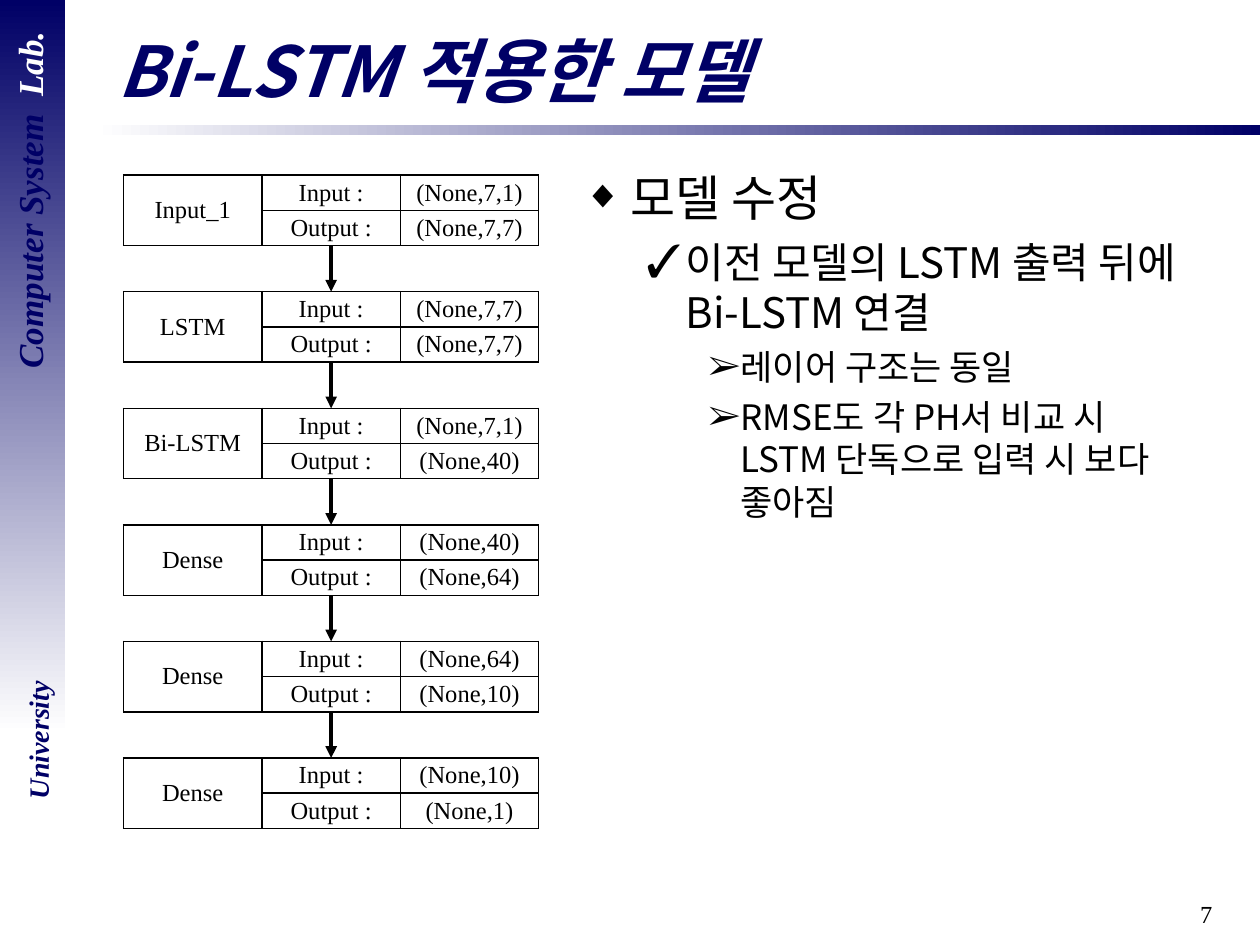
from dataclasses import dataclass

from lxml.etree import SubElement
from pptx import Presentation
from pptx.dml.color import RGBColor
from pptx.enum.shapes import MSO_CONNECTOR, MSO_SHAPE
from pptx.enum.text import MSO_ANCHOR, PP_ALIGN
from pptx.oxml.ns import qn
from pptx.util import Cm, Pt


@dataclass(frozen=True)
class Theme:
    navy: RGBColor = RGBColor(0x00, 0x00, 0x66)
    white: RGBColor = RGBColor(0xFF, 0xFF, 0xFF)
    black: RGBColor = RGBColor(0x00, 0x00, 0x00)
    serif: str = "Times New Roman"
    sans: str = "Noto Sans CJK KR"
    title: int = 40
    lab: int = 20
    university: int = 16
    small: int = 14
    body: tuple = (28, 24, 20)


THEME = Theme()

LAYERS = [
    ("Input_1", "(None,7,1)", "(None,7,7)"),
    ("LSTM", "(None,7,7)", "(None,7,7)"),
    ("Bi-LSTM", "(None,7,1)", "(None,40)"),
    ("Dense", "(None,40)", "(None,64)"),
    ("Dense", "(None,64)", "(None,10)"),
    ("Dense", "(None,10)", "(None,1)"),
]
LAYER_LEFT, LAYER_TOP, LAYER_PITCH = 2.49, 3.53, 2.35
COL_W, ROW_H = 2.79, 0.71

# Per level: left margin, hanging indent, bullet, bullet size in percent
LEVELS = [
    (0.95, 0.95, "◆", 80),
    (2.06, 0.79, "✓", 110),
    (3.16, 0.64, "➢", 100),
]
POINTS = [
    (0, "모델 수정"),
    (1, "이전 모델의 LSTM 출력 뒤에 Bi-LSTM 연결"),
    (2, "레이어 구조는 동일"),
    (2, "RMSE도 각 PH서 비교 시 LSTM 단독으로 입력 시 보다 좋아짐"),
]


def add_run(p, text, size, font=THEME.serif, color=THEME.black, strong=False):
    """Add a run; strong means bold italic."""
    r = p.add_run()
    r.text = text
    r.font.size = Pt(size)
    r.font.name = font
    r.font.color.rgb = color
    if strong:
        r.font.bold = r.font.italic = True
    SubElement(r.font._element, qn("a:ea"), typeface=font)


def add_textbox(s, left, top, width, height, align=PP_ALIGN.LEFT, rotation=0):
    """Add a wrapping text box and return its text frame."""
    sp = s.shapes.add_textbox(Cm(left), Cm(top), Cm(width), Cm(height))
    sp.rotation = rotation
    tf = sp.text_frame
    tf.word_wrap = True
    tf.paragraphs[0].alignment = align
    return tf


def add_gradient_bar(s, left, top, width, height, colors, angle):
    sp = s.shapes.add_shape(MSO_SHAPE.RECTANGLE, Cm(left), Cm(top), Cm(width), Cm(height))
    sp.shadow.inherit = False
    sp.line.fill.background()
    sp.fill.gradient()
    sp.fill.gradient_angle = angle
    for stop, color in zip(sp.fill.gradient_stops, colors):
        stop.color.rgb = color


def add_frame(s):
    """Add the sidebar, the rule below the title and the page number."""
    add_gradient_bar(s, 1.9, 2.52, 23.5, 0.2, (THEME.white, THEME.navy), 0)
    tf = add_textbox(s, 19.4, 17.99, 5.29, 1.06, PP_ALIGN.RIGHT)
    add_run(tf.paragraphs[0], "7", THEME.small)

    add_gradient_bar(s, 0, 0, 1.31, 14.8, (THEME.navy, THEME.white), 270)
    p = add_textbox(s, -3.31, 3.48, 7.8, 1.1, PP_ALIGN.CENTER, 270).paragraphs[0]
    add_run(p, "Computer System  ", THEME.lab, color=THEME.navy, strong=True)
    add_run(p, "Lab.", THEME.lab, color=THEME.white, strong=True)
    p = add_textbox(s, -1.04, 14.45, 3.61, 0.94, PP_ALIGN.CENTER, 270).paragraphs[0]
    add_run(p, "University", THEME.university, color=THEME.navy, strong=True)


def add_title(s, text):
    tf = add_textbox(s, 2.11, 0.43, 22.6, 1.96)
    tf.vertical_anchor = MSO_ANCHOR.MIDDLE
    add_run(tf.paragraphs[0], text, THEME.title, THEME.sans, THEME.navy, strong=True)


def style_cell(cell):
    cell.vertical_anchor = MSO_ANCHOR.MIDDLE
    cell.margin_left = cell.margin_right = Cm(0.13)
    cell.margin_top = cell.margin_bottom = Cm(0.05)
    tcPr = cell._tc.get_or_add_tcPr()
    for side in ("lnL", "lnR", "lnT", "lnB"):
        ln = SubElement(tcPr, qn(f"a:{side}"), w=str(Pt(1)))
        fill = SubElement(ln, qn("a:solidFill"))
        SubElement(fill, qn("a:srgbClr"), val=str(THEME.black))
    cell.fill.background()


def add_layer(s, top, name, shape_in, shape_out):
    """Add one network layer as a table with its input and output shapes."""
    table = s.shapes.add_table(
        2, 3, Cm(LAYER_LEFT), Cm(top), Cm(3 * COL_W), Cm(2 * ROW_H)
    ).table
    table.first_row = table.horz_banding = False
    for col in table.columns:
        col.width = Cm(COL_W)
    rows = [(name, "Input :", shape_in), (None, "Output :", shape_out)]
    for i, texts in enumerate(rows):
        table.rows[i].height = Cm(ROW_H)
        for j, text in enumerate(texts):
            cell = table.cell(i, j)
            style_cell(cell)
            if text:
                p = cell.text_frame.paragraphs[0]
                p.alignment = PP_ALIGN.CENTER
                add_run(p, text, THEME.small)
    table.cell(0, 0).merge(table.cell(1, 0))


def add_arrow(s, x, y1, y2):
    cn = s.shapes.add_connector(MSO_CONNECTOR.STRAIGHT, Cm(x), Cm(y1), Cm(x), Cm(y2))
    cn.line.color.rgb = THEME.black
    cn.line.width = Pt(2.25)
    SubElement(cn.line._get_or_add_ln(), qn("a:tailEnd"), type="triangle")
    SubElement(cn._element.spPr, qn("a:effectLst"))


def add_network(s):
    tops = [LAYER_TOP + i * LAYER_PITCH for i in range(len(LAYERS))]
    for top, layer in zip(tops, LAYERS):
        add_layer(s, top, *layer)
    for top, below in zip(tops, tops[1:]):
        add_arrow(s, LAYER_LEFT + 1.5 * COL_W, top + 2 * ROW_H, below)


def add_points(s):
    tf = add_textbox(s, 11.51, 3.25, 12.8, 14.66)
    for i, (level, text) in enumerate(POINTS):
        p = tf.add_paragraph() if i else tf.paragraphs[0]
        margin, hang, bullet, percent = LEVELS[level]
        size = THEME.body[level]
        p.level = level
        if i:
            p.space_before = Pt(round(0.24 * size, 1))
        pPr = p._p.get_or_add_pPr()
        pPr.set("marL", str(Cm(margin)))
        pPr.set("indent", str(-Cm(hang)))
        SubElement(pPr, qn("a:buSzPct"), val=str(percent * 1000))
        SubElement(pPr, qn("a:buFont"), typeface=THEME.serif)
        SubElement(pPr, qn("a:buChar"), char=bullet)
        add_run(p, text, size, THEME.sans)


def main():
    prs = Presentation()
    prs.slide_width, prs.slide_height = Cm(25.4), Cm(19.05)
    s = prs.slides.add_slide(prs.slide_layouts[6])
    add_frame(s)
    add_title(s, "Bi-LSTM 적용한 모델")
    add_network(s)
    add_points(s)
    prs.save("out.pptx")


if __name__ == "__main__":
    main()
